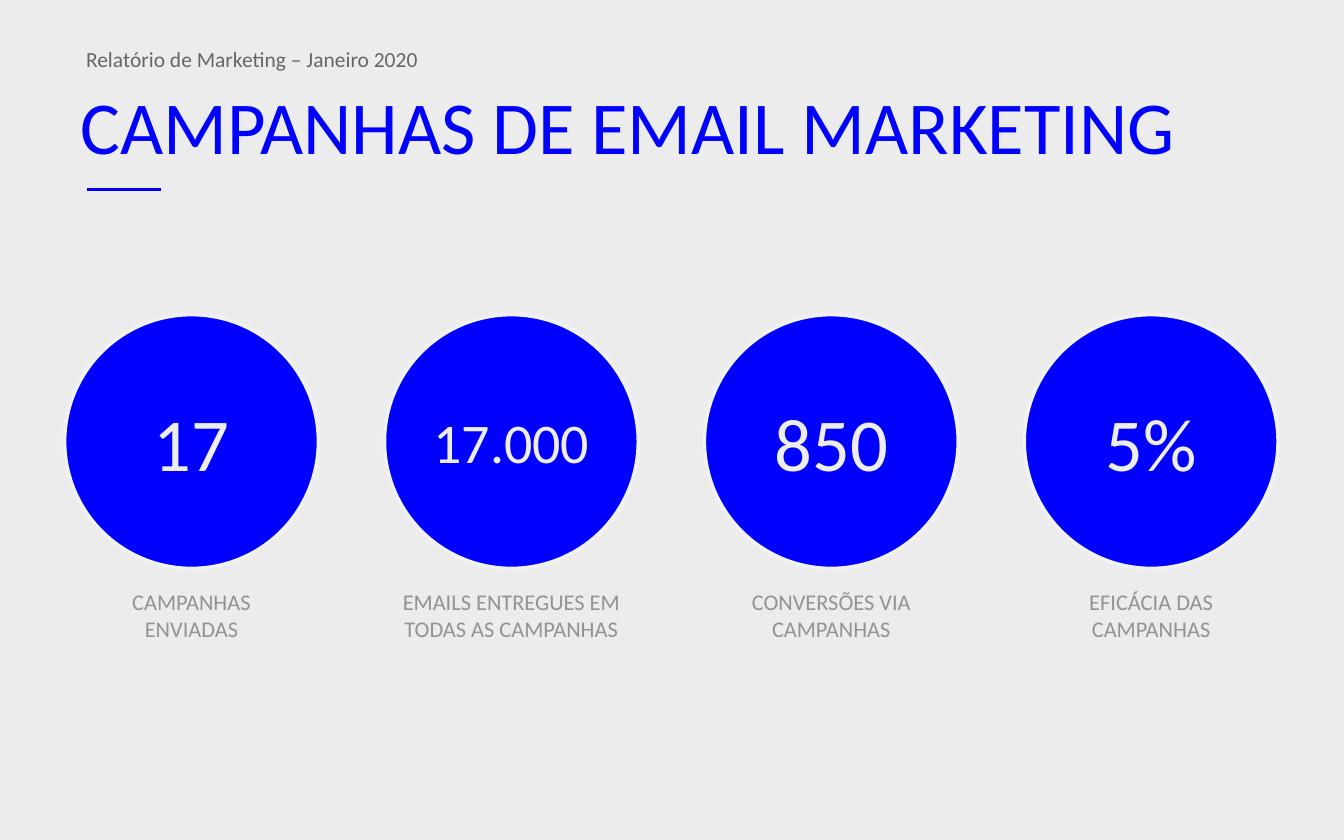
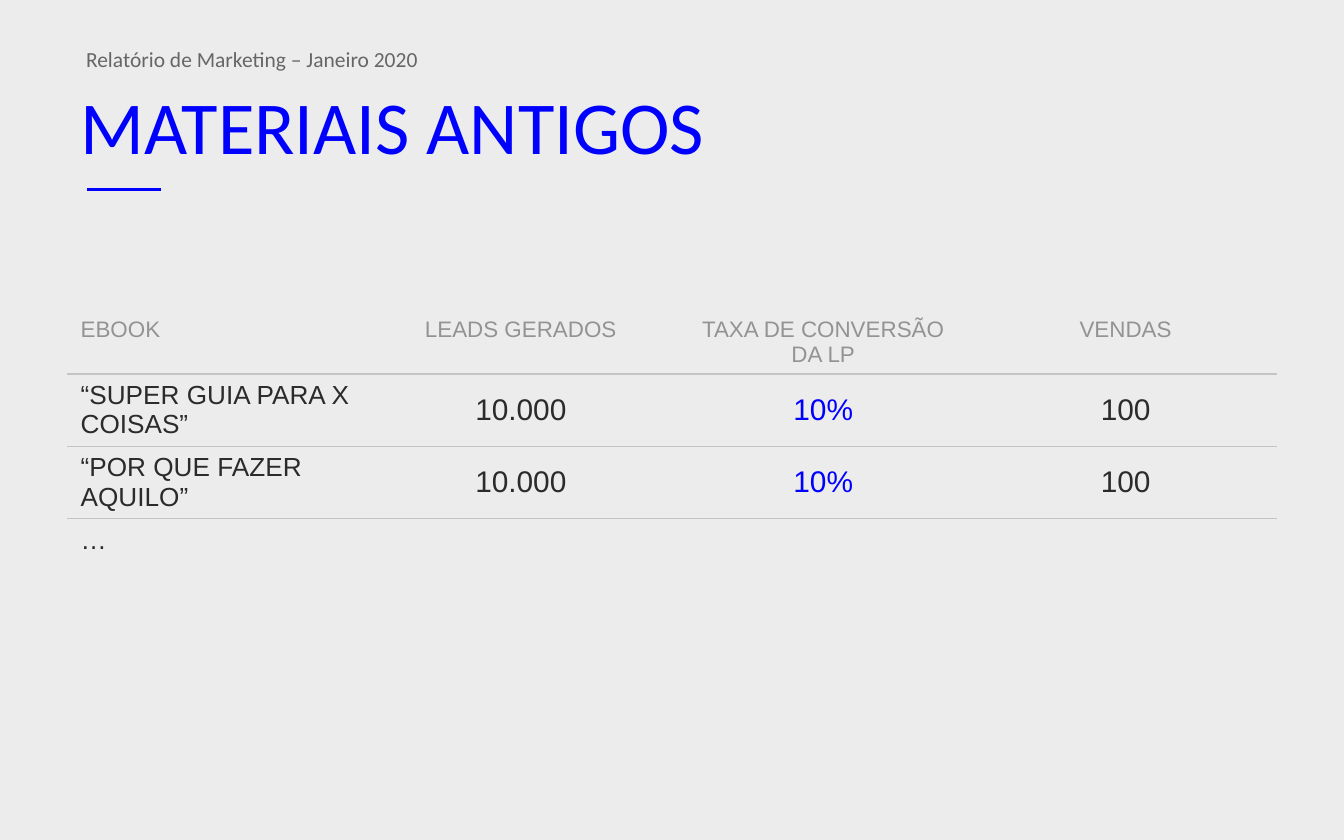
from pptx import Presentation
from pptx.dml.color import RGBColor
from pptx.enum.shapes import MSO_CONNECTOR, MSO_SHAPE
from pptx.enum.text import MSO_ANCHOR, MSO_AUTO_SIZE, PP_ALIGN
from pptx.oxml.ns import qn
from pptx.util import Inches, Pt
from lxml import etree

LEFT, CENTER = PP_ALIGN.LEFT, PP_ALIGN.CENTER
TOP, MIDDLE = MSO_ANCHOR.TOP, MSO_ANCHOR.MIDDLE
FIXED = MSO_AUTO_SIZE.NONE
OVAL = MSO_SHAPE.OVAL
STRAIGHT = MSO_CONNECTOR.STRAIGHT

BLUE, PAPER, INK = "0000FF", "ECECEC", "2B2B2B"
LABEL, RULE, GREY = "939393", "C4C4C4", "666666"
RING, PALE = "F1F1F1", "EDEDED"
NO_STYLE = "{2D5ABB26-0587-4C30-8999-92F81FD0307C}"

REPORT = "Relatório de Marketing – Janeiro 2020"
STATS = [
    ("17", 40, ["CAMPANHAS", "ENVIADAS"]),
    ("17.000", 30, ["EMAILS ENTREGUES EM TODAS AS CAMPANHAS"]),
    ("850", 40, ["CONVERSÕES VIA CAMPANHAS"]),
    ("5%", 40, ["EFICÁCIA DAS CAMPANHAS"]),
]
EBOOKS = [
    ["EBOOK", "LEADS GERADOS", "TAXA DE CONVERSÃO DA LP", "VENDAS"],
    ["“SUPER GUIA PARA X COISAS”", "10.000", "10%", "100"],
    ["“POR QUE FAZER AQUILO”", "10.000", "10%", "100"],
    ["…", "", "", ""],
]


def rgb(code):
    return RGBColor.from_string(code)


def put(para, text, size, color, align=LEFT, font="Calibri"):
    """Add one formatted run to a paragraph."""
    para.alignment = align
    run = para.add_run()
    run.text = text
    run.font.size = Pt(size)
    run.font.name = font
    run.font.color.rgb = rgb(color)


def place(shape, left, top, width, height):
    shape.left, shape.top = Inches(left), Inches(top)
    shape.width, shape.height = Inches(width), Inches(height)
    frame = shape.text_frame
    frame.word_wrap = True
    frame.auto_size = FIXED
    return frame


def add_page(prs, name):
    """Add a slide with its title, report line and short rule."""
    slide = prs.slides.add_slide(prs.slide_layouts[1])
    frame = place(slide.shapes.title, 0.5, 0.58, 9, 0.7)
    frame.vertical_anchor = MIDDLE
    put(frame.paragraphs[0], name, 40, BLUE)

    frame = place(slide.placeholders[1], 0.54, 0.33, 9, 0.27)
    para = frame.paragraphs[0]
    para.line_spacing = 0.8
    para.space_before = Pt(0)
    props = para._p.get_or_add_pPr()
    props.set("marL", "0")
    props.set("indent", "0")
    etree.SubElement(props, qn("a:buNone"))
    put(para, REPORT, 11.5, GREY)

    rule = slide.shapes.add_connector(
        STRAIGHT, Inches(0.65), Inches(1.41), Inches(1.2), Inches(1.41))
    rule.line.color.rgb = rgb(BLUE)
    rule.line.width = Pt(2)
    etree.SubElement(rule._element.spPr, qn("a:effectLst"))
    return slide


def add_stat(slide, left, value, size, lines):
    """Add a disc with a figure and the label below it."""
    side = 1.89
    disc = slide.shapes.add_shape(
        OVAL, Inches(left), Inches(2.34), Inches(side), Inches(side))
    disc.shadow.inherit = False
    disc.fill.solid()
    disc.fill.fore_color.rgb = rgb(BLUE)
    disc.line.color.rgb = rgb(RING)
    disc.line.width = Pt(2)
    frame = disc.text_frame
    frame.margin_left = frame.margin_right = 0
    frame.margin_top = frame.margin_bottom = 0
    frame.vertical_anchor = MIDDLE
    put(frame.paragraphs[0], value, size, PALE, CENTER)

    box = slide.shapes.add_textbox(
        Inches(left), Inches(4.33), Inches(side), Inches(0.5))
    frame = box.text_frame
    frame.word_wrap = True
    for i, line in enumerate(lines):
        para = frame.add_paragraph() if i else frame.paragraphs[0]
        put(para, line, 12, LABEL, CENTER)


def rule_off(cell):
    """Draw the bottom border of a cell."""
    edge = etree.Element(qn("a:lnB"), w=str(Pt(1)))
    fill = etree.SubElement(edge, qn("a:solidFill"))
    etree.SubElement(fill, qn("a:srgbClr"), val=RULE)
    cell._tc.get_or_add_tcPr().insert(0, edge)


def cell_style(row, col):
    """Return size, colour and anchor for a cell."""
    if row == 0:
        return 12, LABEL, TOP
    if col == 0:
        return 14, INK, TOP
    return 16, BLUE if col == 2 else INK, MIDDLE


def add_grid(slide, rows):
    count = len(rows)
    grid = slide.shapes.add_table(
        count, len(rows[0]), Inches(0.5), Inches(2.31),
        Inches(9), Inches(0.41 * count)).table
    grid.first_row = grid.horz_banding = False
    grid._tbl.tblPr.find(qn("a:tableStyleId")).text = NO_STYLE
    for r, row in enumerate(rows):
        for c, text in enumerate(row):
            cell = grid.cell(r, c)
            cell.fill.background()
            size, color, cell.vertical_anchor = cell_style(r, c)
            if text:
                put(cell.text_frame.paragraphs[0], text, size, color,
                    CENTER if c else LEFT, "Arial")
            if r < count - 1:
                rule_off(cell)


def main():
    prs = Presentation()
    prs.slide_width, prs.slide_height = Inches(10), Inches(6.25)
    back = prs.slide_master.background.fill
    back.solid()
    back.fore_color.rgb = rgb(PAPER)

    slide = add_page(prs, "CAMPANHAS DE EMAIL MARKETING")
    for i, stat in enumerate(STATS):
        add_stat(slide, 0.48 + 2.38 * i, *stat)

    slide = add_page(prs, "MATERIAIS ANTIGOS")
    add_grid(slide, EBOOKS)
    prs.save("out.pptx")


if __name__ == "__main__":
    main()
